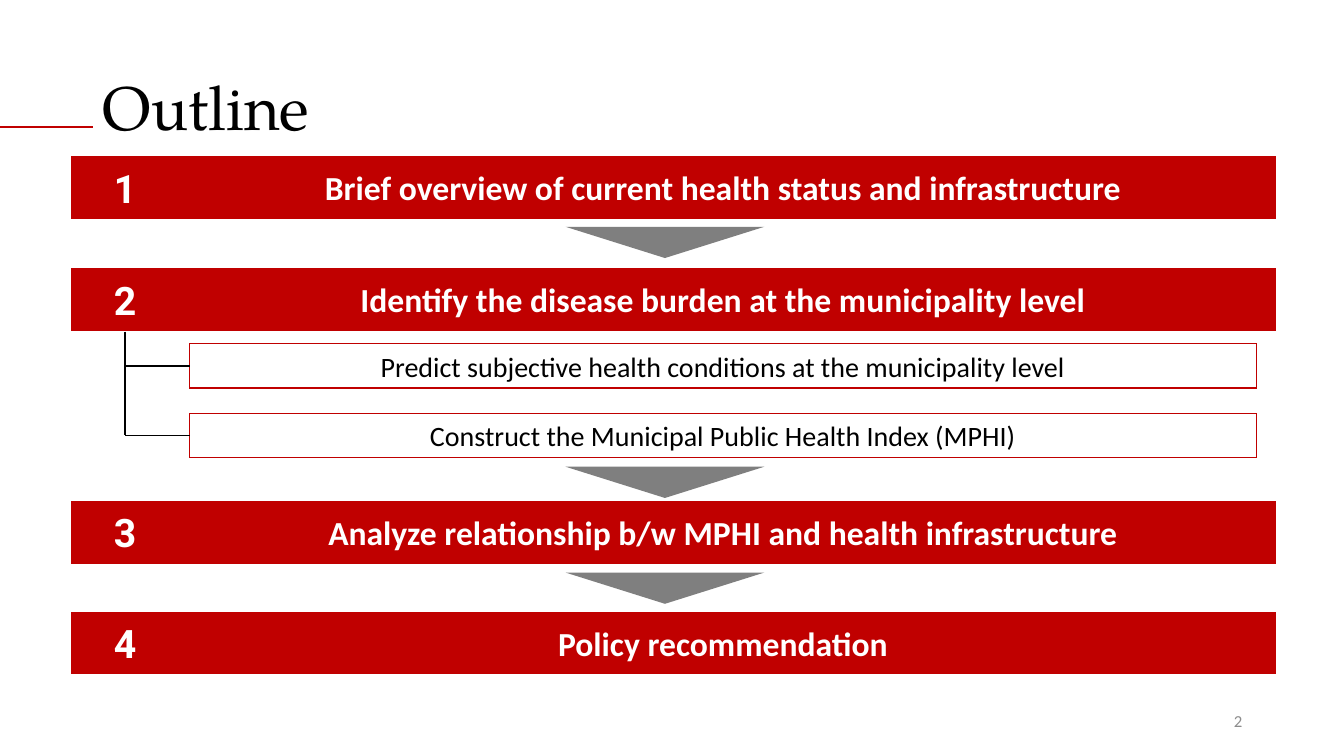
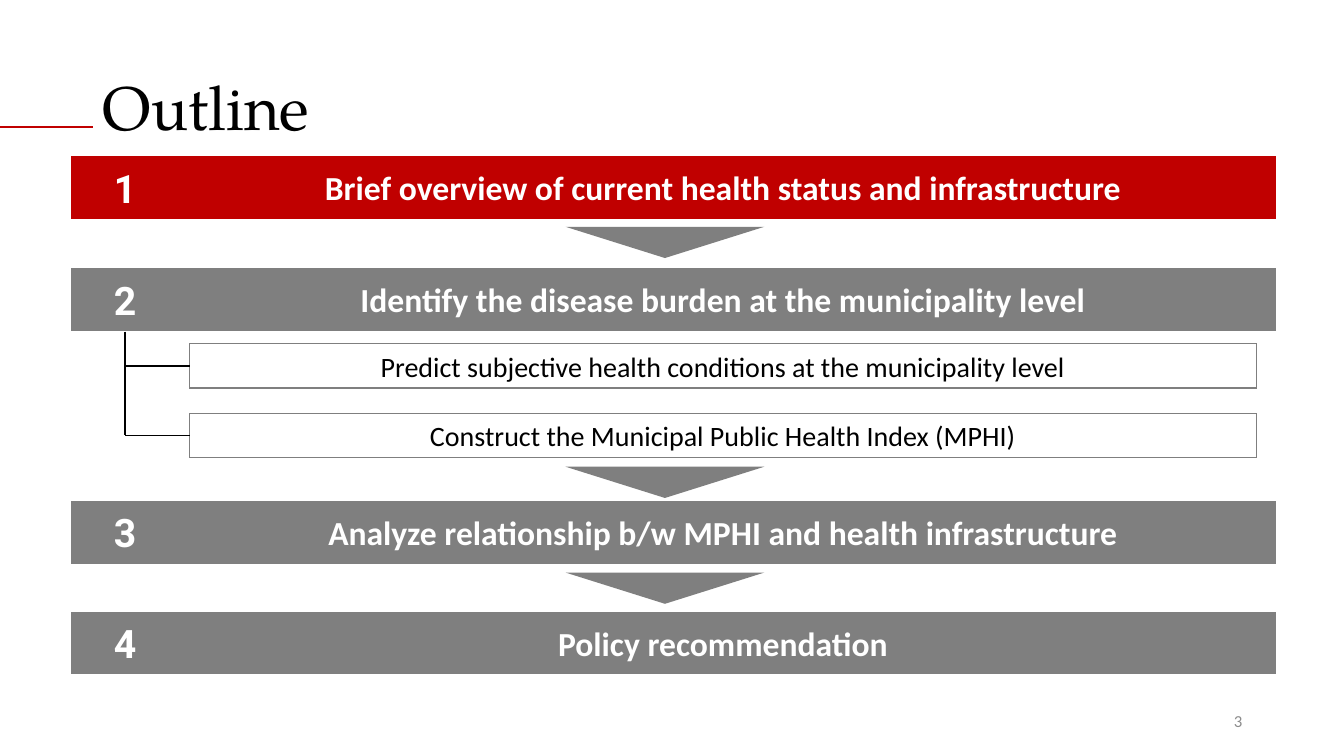
"""Build two outline slides: the full plan, then the plan with step 1 highlighted."""
from lxml import etree
from pptx import Presentation
from pptx.dml.color import RGBColor
from pptx.enum.shapes import MSO_CONNECTOR, MSO_SHAPE
from pptx.enum.text import MSO_ANCHOR, PP_ALIGN
from pptx.oxml.ns import qn
from pptx.util import Pt

PX = 9144
RECTANGLE, TRIANGLE = MSO_SHAPE.RECTANGLE, MSO_SHAPE.ISOSCELES_TRIANGLE
STRAIGHT = MSO_CONNECTOR.STRAIGHT
MIDDLE = MSO_ANCHOR.MIDDLE
LEFT, CENTER, RIGHT = PP_ALIGN.LEFT, PP_ALIGN.CENTER, PP_ALIGN.RIGHT

COLORS = {
    name: RGBColor.from_string(value)
    for name, value in {
        "red": "C00000",
        "gray": "7F7F7F",
        "page_number": "8C8C8C",
        "black": "000000",
        "white": "FFFFFF",
    }.items()
}
TITLE_FONT, BODY_FONT, NUMBER_FONT = "TeX Gyre Pagella", "Calibri", "Roboto"

STEPS = [
    (159, "Brief overview of current health status and infrastructure"),
    (270, "Identify the disease burden at the municipality level"),
    (501, "Analyze relationship b/w MPHI and health infrastructure"),
    (611, "Policy recommendation"),
]
SUBSTEPS = [
    (341, "Predict subjective health conditions at the municipality level"),
    (410, "Construct the Municipal Public Health Index (MPHI)"),
]
ARROW_TOPS = [225, 463, 568]
BAR_LEFT, LABEL_LEFT, BAR_RIGHT, BAR_HEIGHT = 75, 173, 1261, 54
SUB_LEFT, SUB_WIDTH, SUB_HEIGHT = 188, 1058, 44
TREE_X, TREE_TOP = 124, 329
SLIDES = [(2, ["red"] * 4), (3, ["red", "gray", "gray", "gray"])]


def write_text(shape, text, *, size, font=BODY_FONT, color="black", bold=False,
               align=CENTER, spacing=None):
    frame = shape.text_frame
    frame.word_wrap = True
    frame.vertical_anchor = MIDDLE
    paragraph = frame.paragraphs[0]
    paragraph.alignment = align
    paragraph.line_spacing = spacing
    span = paragraph.add_run()
    span.text = text
    span.font.name = font
    span.font.size = Pt(size)
    span.font.bold = bold
    span.font.color.rgb = COLORS[color]


def add_line(page, x1, y1, x2, y2, color, width):
    line = page.shapes.add_connector(STRAIGHT, x1 * PX, y1 * PX, x2 * PX, y2 * PX)
    line.line.color.rgb = COLORS[color]
    line.line.width = Pt(width)
    etree.SubElement(line._element.spPr, qn("a:effectLst"))


deck = Presentation()
deck.slide_width, deck.slide_height = 1333 * PX, 750 * PX
title_only = deck.slide_layouts[5]

for page_number, step_colors in SLIDES:
    page = deck.slides.add_slide(title_only)
    title = page.shapes.title
    title.left, title.top, title.width, title.height = 92 * PX, 40 * PX, 1150 * PX, 140 * PX
    write_text(title, "Outline", size=44, font=TITLE_FONT, align=LEFT, spacing=0.9)
    add_line(page, 0, 126, 92, 126, "red", 1.5)

    footer = page.shapes.add_textbox(942 * PX, 695 * PX, 300 * PX, 40 * PX)
    write_text(footer, str(page_number), size=12, color="page_number", align=RIGHT)

    boxes = []
    for number, ((top, label), color) in enumerate(zip(STEPS, step_colors), start=1):
        number_style = dict(size=28, font=NUMBER_FONT, color="white", bold=True)
        label_style = dict(size=24, color="white", bold=True)
        boxes += [
            (BAR_LEFT, top, LABEL_LEFT - BAR_LEFT, BAR_HEIGHT, color, color, 6,
             str(number), number_style),
            (LABEL_LEFT, top, BAR_RIGHT - LABEL_LEFT, BAR_HEIGHT, color, color, 6,
             label, label_style),
        ]
    for top, label in SUBSTEPS:
        boxes.append((SUB_LEFT, top, SUB_WIDTH, SUB_HEIGHT, "white", step_colors[1], 1,
                      label, dict(size=20)))

    for left, top, width, height, fill, outline, weight, text, style in boxes:
        box = page.shapes.add_shape(RECTANGLE, left * PX, top * PX, width * PX, height * PX)
        box.shadow.inherit = False
        box.fill.solid()
        box.fill.fore_color.rgb = COLORS[fill]
        box.line.color.rgb = COLORS[outline]
        box.line.width = Pt(weight)
        etree.SubElement(box._element.spPr.find(qn("a:ln")), qn("a:miter"), lim="800000")
        write_text(box, text, **style)

    for top in ARROW_TOPS:
        arrow = page.shapes.add_shape(TRIANGLE, 561 * PX, top * PX, 197 * PX, 31 * PX)
        arrow.rotation = 180
        arrow.shadow.inherit = False
        arrow.fill.solid()
        arrow.fill.fore_color.rgb = COLORS["gray"]
        arrow.line.fill.background()

    branches = [top + SUB_HEIGHT // 2 for top, label in SUBSTEPS]
    add_line(page, TREE_X, TREE_TOP, TREE_X, branches[-1], "black", 1)
    for branch in branches:
        add_line(page, TREE_X, branch, SUB_LEFT, branch, "black", 1)

deck.save("out.pptx")
